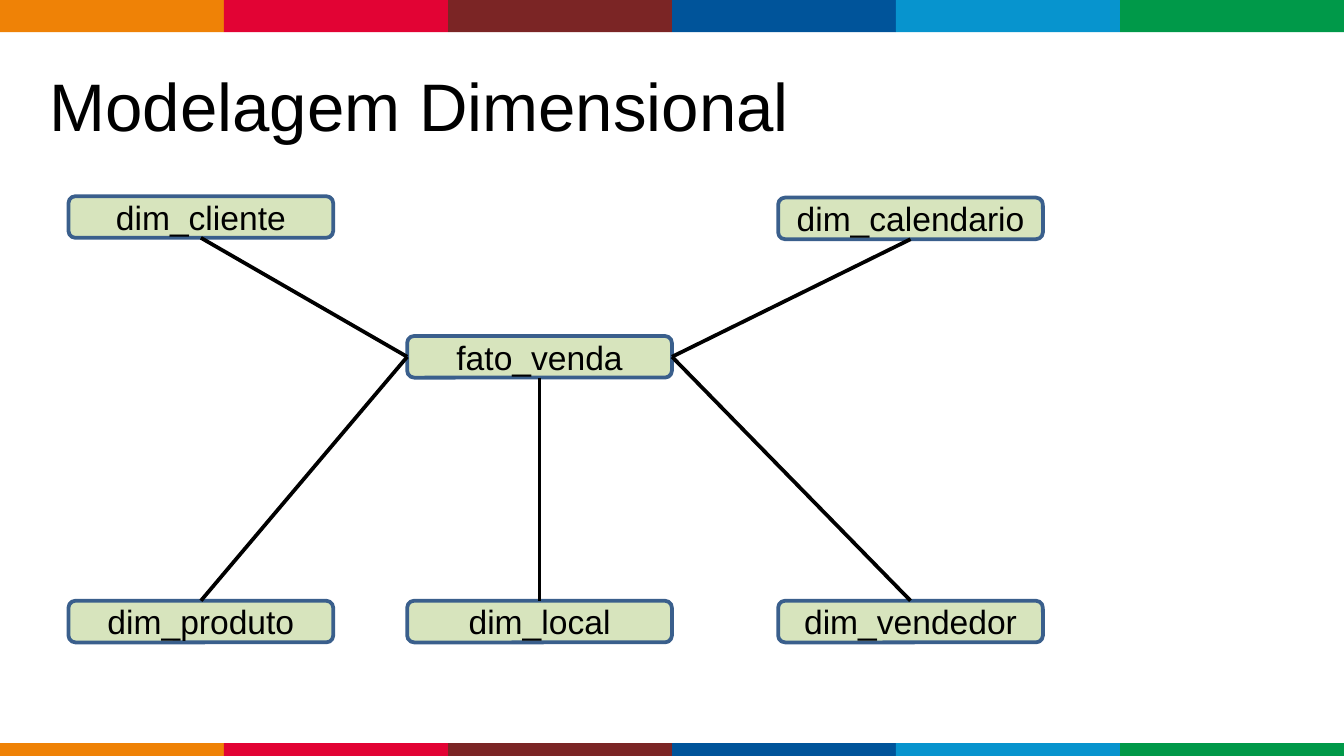
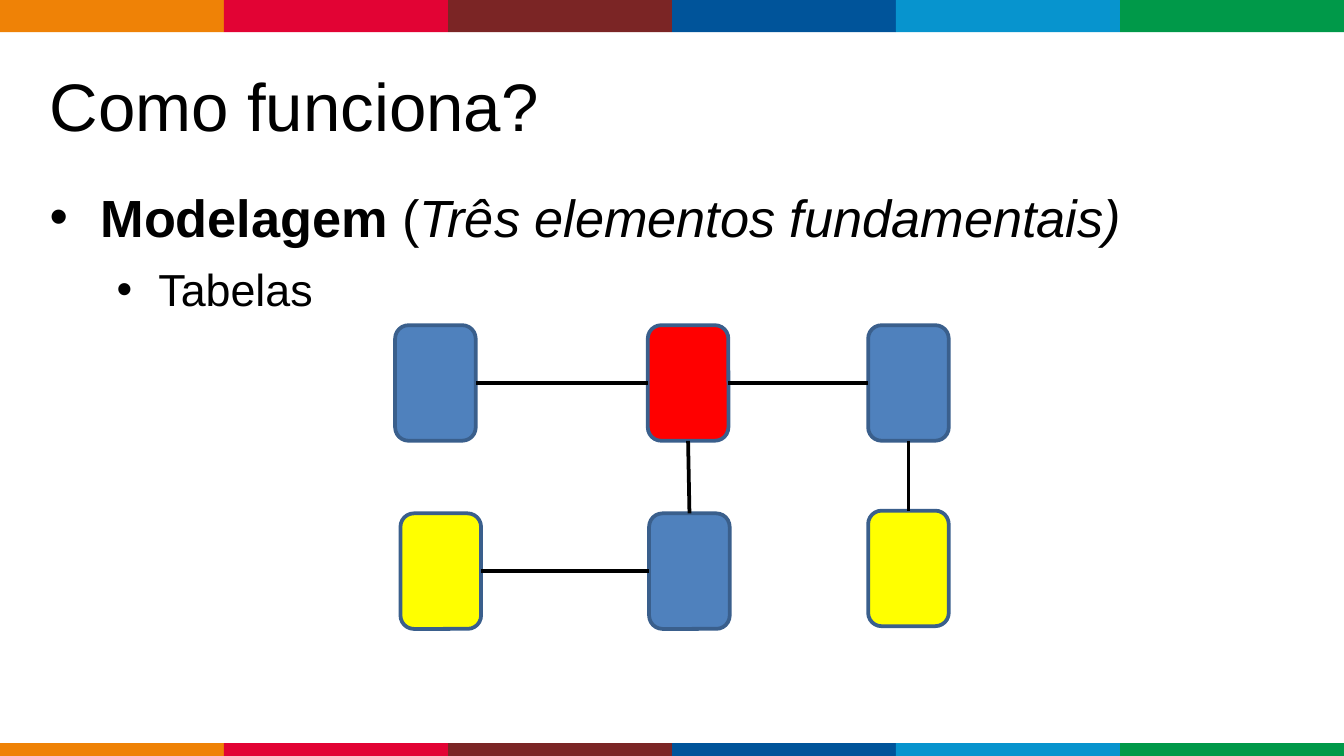
from dataclasses import dataclass
from typing import NamedTuple

from lxml.etree import SubElement
from pptx import Presentation
from pptx.dml.color import RGBColor
from pptx.enum.shapes import MSO_CONNECTOR, MSO_SHAPE
from pptx.enum.text import MSO_ANCHOR, PP_ALIGN
from pptx.oxml.ns import qn
from pptx.shapes.autoshape import Shape
from pptx.slide import Slide
from pptx.util import Emu, Inches, Pt

SLIDE_WIDTH, SLIDE_HEIGHT = Inches(10), Inches(5.625)
COLUMNS, ROWS = 100, 56.25

BLACK, OUTLINE = "000000", "3A5F8C"
GREEN, BLUE, RED, YELLOW = "D7E4BD", "4F81BD", "FF0000", "FFFF00"
BAND_COLOURS = ("EF8206", "E20334", "7B2525", "00549A", "0794CE", "009949")
FONT = "Arial"
LINE_WIDTH = Pt(2)

TOP, LEFT, BOTTOM, RIGHT = range(4)


class Area(NamedTuple):
    left: float
    top: float
    width: float
    height: float


class Span(NamedTuple):
    text: str
    bold: bool = False
    italic: bool = False


class Link(NamedTuple):
    start: str
    start_side: int
    end: str
    end_side: int


@dataclass(frozen=True)
class Bullet:
    spans: tuple[Span, ...]
    size: float
    margin: float
    hanging: float
    space_before: float = 0


@dataclass(frozen=True)
class Node:
    name: str
    area: Area
    fill: str
    label: str = ""


TITLE_AREA = Area(2.7, 4, 62.2, 7.6)
BODY_AREA = Area(2.7, 12.8, 94.5, 37.2)
BANDS = (Area(0, 0, COLUMNS, 2.4), Area(0, 55.3, COLUMNS, 0.95))


def model_table(label: str, left: float, top: float) -> Node:
    return Node(label, Area(left, top, 19.7, 3.1), GREEN, label)


def table_icon(name: str, left: float, top: float, fill: str) -> Node:
    return Node(name, Area(left, top, 6, 8.6), fill)


MODEL_LEFT, MODEL_MIDDLE, MODEL_RIGHT = 5.1, 30.3, 57.9
MODEL_BOTTOM = 44.7
MODEL_NODES = (
    model_table("fato_venda", MODEL_MIDDLE, 25),
    model_table("dim_cliente", MODEL_LEFT, 14.6),
    model_table("dim_vendedor", MODEL_RIGHT, MODEL_BOTTOM),
    model_table("dim_local", MODEL_MIDDLE, MODEL_BOTTOM),
    model_table("dim_produto", MODEL_LEFT, MODEL_BOTTOM),
    model_table("dim_calendario", MODEL_RIGHT, 14.7),
)
MODEL_LINKS = (
    Link("fato_venda", BOTTOM, "dim_local", TOP),
    Link("fato_venda", LEFT, "dim_cliente", BOTTOM),
    Link("fato_venda", RIGHT, "dim_vendedor", TOP),
    Link("fato_venda", LEFT, "dim_produto", TOP),
    Link("fato_venda", RIGHT, "dim_calendario", BOTTOM),
)

ICON_TOP = 24.2
ICON_NODES = (
    table_icon("fact", 48.2, ICON_TOP, RED),
    table_icon("left dimension", 29.4, ICON_TOP, BLUE),
    table_icon("right branch", 64.6, 38, YELLOW),
    table_icon("lower dimension", 48.3, 38.2, BLUE),
    table_icon("left branch", 29.8, 38.2, YELLOW),
    table_icon("right dimension", 64.6, ICON_TOP, BLUE),
)
ICON_LINKS = (
    Link("fact", BOTTOM, "lower dimension", TOP),
    Link("right dimension", BOTTOM, "right branch", TOP),
    Link("fact", LEFT, "left dimension", RIGHT),
    Link("lower dimension", LEFT, "left branch", RIGHT),
    Link("fact", RIGHT, "right dimension", LEFT),
)

BULLETS = (
    Bullet(
        (
            Span("Modelagem", bold=True),
            Span(" ("),
            Span("Três elementos fundamentais)", italic=True),
        ),
        size=28, margin=3.8, hanging=3.8,
    ),
    Bullet((Span("Tabelas"),), size=24, margin=8.1, hanging=3.1, space_before=4.8),
)


def colour(value: str) -> RGBColor:
    return RGBColor.from_string(value)


def across(columns: float) -> Emu:
    return Emu(round(SLIDE_WIDTH * columns / COLUMNS))


def down(rows: float) -> Emu:
    return Emu(round(SLIDE_HEIGHT * rows / ROWS))


def place(area: Area) -> tuple[Emu, Emu, Emu, Emu]:
    return across(area.left), down(area.top), across(area.width), down(area.height)


def apply(target: object, values: dict[str, object]) -> None:
    for name, value in values.items():
        setattr(target, name, value)


def add_span(para, span: Span, size: float) -> None:
    run = para.add_run()
    run.text = span.text
    apply(run.font, {
        "name": FONT, "size": Pt(size), "bold": span.bold, "italic": span.italic,
    })
    run.font.color.rgb = colour(BLACK)


def add_block(page: Slide, kind: MSO_SHAPE, area: Area, fill: str) -> Shape:
    box = page.shapes.add_shape(kind, *place(area))
    box.shadow.inherit = False
    box.fill.solid()
    box.fill.fore_color.rgb = colour(fill)
    box.line.fill.background()
    return box


def add_bands(page: Slide) -> None:
    for band in BANDS:
        width = band.width / len(BAND_COLOURS)
        for index, fill in enumerate(BAND_COLOURS):
            area = band._replace(left=band.left + index * width, width=width)
            add_block(page, MSO_SHAPE.RECTANGLE, area, fill)


def add_title(page: Slide, text: str) -> None:
    frame = page.shapes.add_textbox(*place(TITLE_AREA)).text_frame
    apply(frame, {"word_wrap": True, "vertical_anchor": MSO_ANCHOR.MIDDLE})
    add_span(frame.paragraphs[0], Span(text), 36)


def add_bullets(page: Slide, bullets: tuple[Bullet, ...]) -> None:
    frame = page.shapes.add_textbox(*place(BODY_AREA)).text_frame
    frame.word_wrap = True
    for index, bullet in enumerate(bullets):
        para = frame.add_paragraph() if index else frame.paragraphs[0]
        properties = para._p.get_or_add_pPr()
        properties.set("marL", str(across(bullet.margin)))
        properties.set("indent", str(-across(bullet.hanging)))
        SubElement(properties, qn("a:buFont"), typeface=FONT)
        SubElement(properties, qn("a:buChar"), char="•")
        apply(para, {
            "level": index,
            "line_spacing": 1.1,
            "space_before": Pt(bullet.space_before),
        })
        for span in bullet.spans:
            add_span(para, span, bullet.size)


def add_node(page: Slide, node: Node) -> Shape:
    box = add_block(page, MSO_SHAPE.ROUNDED_RECTANGLE, node.area, node.fill)
    box.line.color.rgb = colour(OUTLINE)
    box.line.width = LINE_WIDTH
    if node.label:
        frame = box.text_frame
        apply(frame, {
            "word_wrap": True, "vertical_anchor": MSO_ANCHOR.MIDDLE,
            "margin_left": 0, "margin_right": 0,
        })
        para = frame.paragraphs[0]
        para.alignment = PP_ALIGN.CENTER
        add_span(para, Span(node.label), 18)
    return box


def add_diagram(page: Slide, nodes: tuple[Node, ...], links: tuple[Link, ...]) -> None:
    boxes = {node.name: add_node(page, node) for node in nodes}
    for link in links:
        line = page.shapes.add_connector(MSO_CONNECTOR.STRAIGHT, 0, 0, 0, 0)
        line.begin_connect(boxes[link.start], link.start_side)
        line.end_connect(boxes[link.end], link.end_side)
        line.line.color.rgb = colour(BLACK)
        line.line.width = LINE_WIDTH
        SubElement(line._element.spPr, qn("a:effectLst"))


def add_page(deck, title: str) -> Slide:
    page = deck.slides.add_slide(deck.slide_layouts[6])
    add_bands(page)
    add_title(page, title)
    return page


def main() -> None:
    deck = Presentation()
    apply(deck, {"slide_width": SLIDE_WIDTH, "slide_height": SLIDE_HEIGHT})

    model_page = add_page(deck, "Modelagem Dimensional")
    add_diagram(model_page, MODEL_NODES, MODEL_LINKS)

    tables_page = add_page(deck, "Como funciona?")
    add_bullets(tables_page, BULLETS)
    add_diagram(tables_page, ICON_NODES, ICON_LINKS)

    deck.save("out.pptx")


if __name__ == "__main__":
    main()
